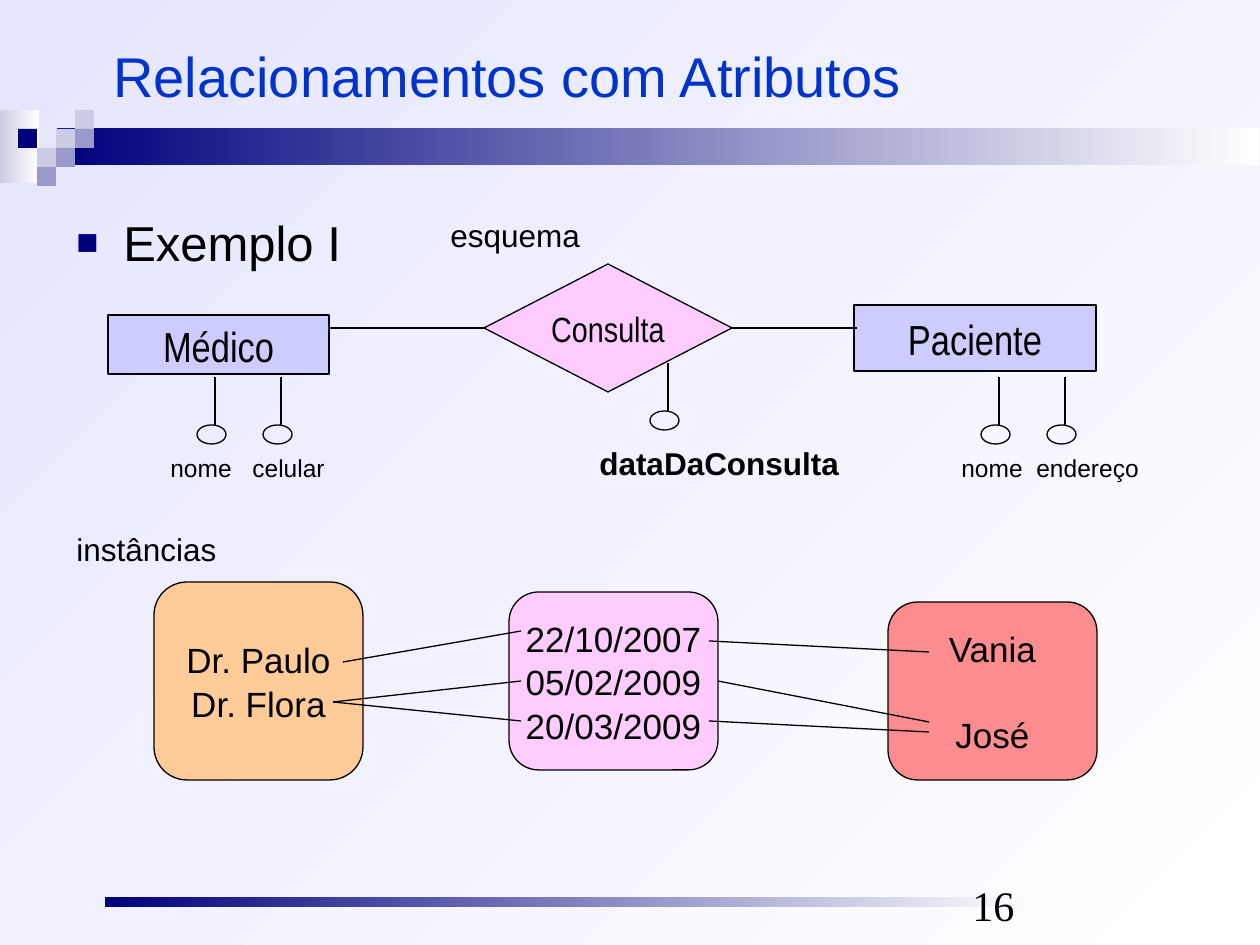
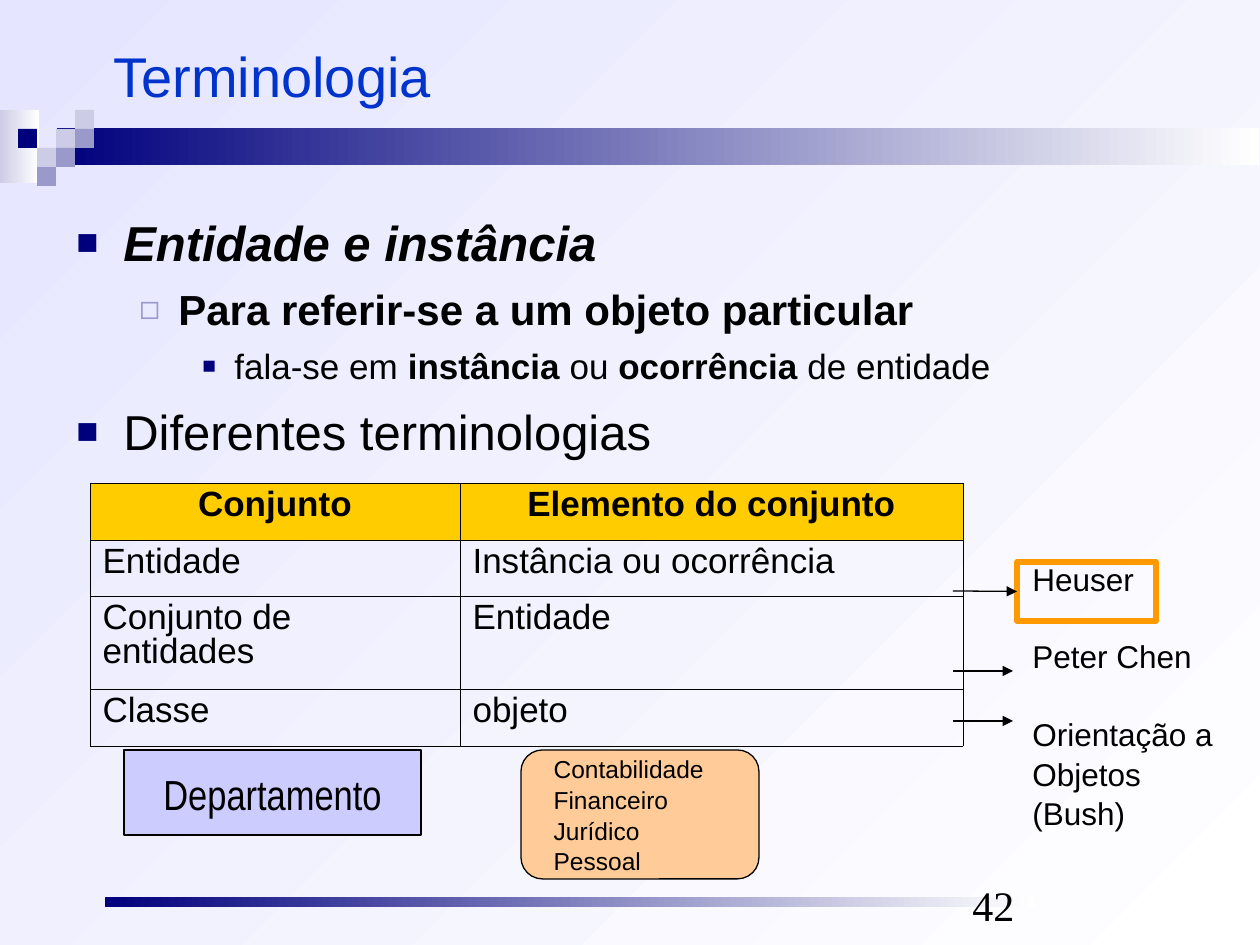
from dataclasses import dataclass

from lxml import etree
from pptx import Presentation, util as u
from pptx.dml.color import RGBColor
from pptx.enum import shapes, text
from pptx.oxml.ns import qn

PX = 914400 / 126
KIND = shapes.MSO_SHAPE
CENTER, LEFT = text.PP_ALIGN.CENTER, text.PP_ALIGN.LEFT
MIDDLE, TOP, BOTTOM = text.MSO_ANCHOR.MIDDLE, text.MSO_ANCHOR.TOP, text.MSO_ANCHOR.BOTTOM
SIDE_LEFT, SIDE_RIGHT = 1, 3


@dataclass(frozen=True)
class Theme:
    ink: str = "000000"
    title: str = "0033CC"
    navy: str = "00007D"
    mid: str = "9999CC"
    pale: str = "CCCCE6"
    white: str = "FFFFFF"
    sky: str = "E5E5FF"
    entity: str = "CCCCFF"
    relation: str = "FFCCFF"
    peach: str = "FFCC99"
    red: str = "FF2121"
    header: str = "FFCC00"
    highlight: str = "FF9900"
    sans: str = "Arial"
    narrow: str = "Arial Narrow"
    serif: str = "Times New Roman"
    title_size: int = 32
    big: int = 24
    medium: int = 20
    normal: int = 18
    small: int = 14
    leading: float = 1.04
    line: float = 0.75


T = Theme()

# Shared decoration: (column, row, colour) on a grid of small squares
SQUARE, SQUARES_AT = 19, (18, 110)
SQUARES = [(2, 1, T.pale), (3, 0, T.pale), (3, 1, T.mid), (1, 2, T.pale),
           (0, 1, T.navy), (2, 2, T.mid), (1, 3, T.mid)]
BANDS = [((0, 110, 39, 73), T.pale), ((57, 128, 1202, 37), T.navy),
         ((105, 897, 930, 10), T.navy)]

# Outline levels: size, left margin, hanging indent, space before, bullet, colour, percent
LEVELS = [(28, 47, 47, 7, "■", T.navy, 75),
          (24, 102, 39, 6, "◻", T.mid, 80),
          (20, 158, 32, 5, "■", T.navy, 65)]

# Relationship slide
ENTITIES = [("Médico", (108, 315, 221, 59)), ("Paciente", (854, 305, 242, 66))]
RELATION = ("Consulta", (484, 264, 248, 128))
LINK_Y = 328
# Attributes: stem x, stem top, label, label left, label top, size, bold
ATTRIBUTES = [(215, 377, "nome", 158, 446, T.small, False),
              (281, 377, "celular", 240, 446, T.small, False),
              (668, 363, "dataDaConsulta", 587, 436, T.normal, True),
              (999, 377, "nome", 949, 446, T.small, False),
              (1065, 377, "endereço", 1024, 446, T.small, False)]
CAPTIONS = [("esquema", (438, 208, 170, 50)), ("instâncias", (64, 522, 180, 50))]
DOCTORS = ["Dr. Paulo", "Dr. Flora"]
DATES = ["22/10/2007", "05/02/2009", "20/03/2009"]
PATIENTS = ["Vania", "José"]
INSTANCE_LINKS = [((343, 662), (521, 631)), ((333, 702), (521, 681)),
                  ((333, 702), (521, 721)), ((929, 652), (709, 641)),
                  ((929, 732), (709, 721))]
JOSE_TO_SECOND_DATE = (929, 722)

# Terminology slide
OUTLINE = [(0, [("Entidade e instância", "bi")]),
           (1, [("Para referir-se a um objeto particular", "b")]),
           (2, [("fala-se em ", ""), ("instância", "b"), (" ou ", ""),
                ("ocorrência", "b"), (" de entidade", "")]),
           (0, [("Diferentes terminologias", "")])]
TERMS = [("Conjunto", "Elemento do conjunto"),
         ("Entidade", "Instância ou ocorrência"),
         ("Conjunto de entidades", "Entidade"),
         ("Classe", "objeto")]
TERM_COLS, TERM_ROWS = (370, 503), (57, 56, 93, 57)
AUTHORS = ["Heuser", "Peter Chen", "Orientação a", "Objetos", "(Bush)"]
DEPARTMENTS = ["Contabilidade", "Financeiro", "Jurídico", "Pessoal"]
ARROW_X, ARROW_TIP, ARROW_YS = 953, 1013, (671, 721)


def px(*values):
    return [u.Emu(round(v * PX)) for v in values]


def rgb(hex_code):
    return RGBColor.from_string(hex_code)


def child(parent, tag, **attrs):
    return etree.SubElement(parent, qn(tag), {k: str(v) for k, v in attrs.items()})


def gradient(fill, start, end, angle=0):
    fill.gradient()
    fill.gradient_angle = angle
    for stop, position, color in zip(fill.gradient_stops, (0, 1), (start, end)):
        stop.position = position
        stop.color.rgb = rgb(color)


def write(p, runs, size=T.normal, font=T.sans, color=T.ink, style="", align=LEFT,
          before=0, leading=T.leading):
    """Fill one paragraph from a string or from (text, style) runs; style may hold b and i."""
    p.alignment, p.line_spacing, p.space_before = align, leading, u.Pt(before)
    for words, run_style in [(runs, style)] if isinstance(runs, str) else runs:
        r = p.add_run()
        r.text = words
        r.font.size, r.font.name, r.font.color.rgb = u.Pt(size), font, rgb(color)
        r.font.bold, r.font.italic = "b" in run_style, "i" in run_style


def paragraphs(tf, count):
    return [tf.paragraphs[0]] + [tf.add_paragraph() for _ in range(count - 1)]


def write_lines(tf, lines, anchor=TOP, gaps=None, indent=0, **fmt):
    """Write one paragraph a line; gaps maps a line number to its space before."""
    tf.word_wrap = fmt.get("align") != CENTER
    tf.vertical_anchor = anchor
    for i, (p, line) in enumerate(zip(paragraphs(tf, len(lines)), lines)):
        write(p, line, before=(gaps or {}).get(i, 0), **fmt)
        if indent:
            p._p.get_or_add_pPr().set("marL", str(px(indent)[0]))


def add_label(s, box, *lines, **fmt):
    write_lines(s.shapes.add_textbox(*px(*box)).text_frame, lines, **fmt)


def add_box(s, kind, box, fill=None, line=T.ink, width=T.line, lines=(), **fmt):
    sp = s.shapes.add_shape(kind, *px(*box))
    sp.shadow.inherit = False
    if fill:
        sp.fill.solid()
        sp.fill.fore_color.rgb = rgb(fill)
    else:
        sp.fill.background()
    if line:
        sp.line.color.rgb, sp.line.width = rgb(line), u.Pt(width)
    else:
        sp.line.fill.background()
    if lines:
        write_lines(sp.text_frame, lines, **{"anchor": MIDDLE, "align": CENTER, **fmt})
    return sp


def add_line(s, start, end, begin=None, finish=None, arrow=False):
    """Draw a line; begin and finish are optional (shape, side) joints."""
    cn = s.shapes.add_connector(shapes.MSO_CONNECTOR.STRAIGHT, *px(*start, *end))
    cn.line.color.rgb, cn.line.width = rgb(T.ink), u.Pt(T.line)
    if begin:
        cn.begin_connect(*begin)
    if finish:
        cn.end_connect(*finish)
    if arrow:
        child(cn.line._get_or_add_ln(), "a:tailEnd", type="triangle")
    child(cn._element.spPr, "a:effectLst")


def add_outline(s, items):
    tf = s.shapes.add_textbox(*px(64, 204, 1134, 635)).text_frame
    tf.word_wrap = True
    for p, (level, runs) in zip(paragraphs(tf, len(items)), items):
        size, left, hang, before, bullet, color, percent = LEVELS[level]
        write(p, runs, size=size, before=before)
        p.level = level
        ppr = p._p.get_or_add_pPr()
        margin, indent = px(left, -hang)
        ppr.set("marL", str(margin))
        ppr.set("indent", str(indent))
        child(child(ppr, "a:buClr"), "a:srgbClr", val=color)
        child(ppr, "a:buSzPct", val=percent * 1000)
        child(ppr, "a:buFont", typeface=T.sans)
        child(ppr, "a:buChar", char=bullet)


def add_borders(cell):
    tcpr = cell._tc.get_or_add_tcPr()
    for i, side in enumerate("LRTB"):
        ln = etree.Element(qn("a:ln" + side), w=str(u.Pt(0.06)))
        child(child(ln, "a:solidFill"), "a:srgbClr", val=T.ink)
        tcpr.insert(i, ln)


def add_terms_table(s):
    size = (sum(TERM_COLS), sum(TERM_ROWS))
    table = s.shapes.add_table(len(TERMS), len(TERM_COLS), *px(90, 483, *size)).table
    table.first_row = table.horz_banding = False
    for column, width in zip(table.columns, px(*TERM_COLS)):
        column.width = width
    for row, height in zip(table.rows, px(*TERM_ROWS)):
        row.height = height
    for i, terms in enumerate(TERMS):
        for j, term in enumerate(terms):
            cell = table.cell(i, j)
            head = i == 0
            if head:
                cell.fill.solid()
                cell.fill.fore_color.rgb = rgb(T.header)
            else:
                cell.fill.background()
            add_borders(cell)
            write(cell.text_frame.paragraphs[0], term, size=T.medium, before=5,
                  leading=0.87, style="b" if head else "", align=CENTER if head else LEFT)


def add_slide(prs, title, number):
    s = prs.slides.add_slide(prs.slide_layouts[6])
    gradient(s.background.fill, T.sky, T.white, 315)
    for box, color in BANDS:
        gradient(add_box(s, KIND.RECTANGLE, box, line=None).fill, color, T.white)
    left, top = SQUARES_AT
    for col, row, color in SQUARES:
        box = (left + col * SQUARE, top + row * SQUARE, SQUARE, SQUARE)
        add_box(s, KIND.RECTANGLE, box, color, line=None)
    add_label(s, (101, 16, 1134, 115), title, size=T.title_size, color=T.title,
              anchor=MIDDLE)
    add_label(s, (960, 873, 294, 63), str(number), size=T.big, font=T.serif,
              anchor=BOTTOM, leading=1.0)
    return s


def add_entity(s, name, box):
    add_box(s, KIND.RECTANGLE, box, T.entity, lines=[name], size=T.big, font=T.narrow)


def add_attribute(s, x, y, label, label_x, label_y, size, bold):
    add_line(s, (x, y), (x, y + 49))
    add_box(s, KIND.OVAL, (x - 18, y + 48, 29, 19))
    add_label(s, (label_x, label_y, 290 if bold else 150, 45), label, size=size,
              style="b" if bold else "")


def relationship_slide(prs):
    s = add_slide(prs, "Relacionamentos com Atributos", 16)
    add_outline(s, [(0, [("Exemplo I", "")])])
    for name, box in ENTITIES:
        add_entity(s, name, box)
    name, box = RELATION
    relation = add_box(s, KIND.FLOWCHART_DECISION, box, T.relation, lines=[name],
                       size=T.medium, font=T.narrow)
    add_line(s, (330, LINK_Y), (484, LINK_Y), finish=(relation, SIDE_LEFT))
    add_line(s, (732, LINK_Y), (857, LINK_Y), begin=(relation, SIDE_RIGHT))
    for attribute in ATTRIBUTES:
        add_attribute(s, *attribute)
    for caption, box in CAPTIONS:
        add_label(s, box, caption)

    add_box(s, KIND.ROUNDED_RECTANGLE, (154, 582, 209, 198), T.peach, lines=DOCTORS,
            size=T.medium)
    patients = add_box(s, KIND.ROUNDED_RECTANGLE, (888, 602, 209, 178), T.red,
                       lines=PATIENTS, size=T.medium, gaps={1: 24})
    child(patients._element.spPr.find(".//" + qn("a:srgbClr")), "a:alpha", val=50000)
    dates = add_box(s, KIND.ROUNDED_RECTANGLE, (509, 592, 209, 178), T.relation,
                    lines=DATES, size=T.medium)
    for start, end in INSTANCE_LINKS:
        add_line(s, start, end)
    add_line(s, JOSE_TO_SECOND_DATE, (718, 681), finish=(dates, SIDE_RIGHT))


def terminology_slide(prs):
    s = add_slide(prs, "Terminologia", 42)
    add_outline(s, OUTLINE)
    add_terms_table(s)
    add_label(s, (1020, 552, 230, 277), *AUTHORS, gaps={1: 22, 2: 22})
    frame = add_box(s, KIND.RECTANGLE, (1017, 562, 139, 59), line=T.highlight, width=3)
    add_line(s, (ARROW_X, 591), (ARROW_TIP, 591), finish=(frame, SIDE_LEFT), arrow=True)
    for y in ARROW_YS:
        add_line(s, (ARROW_X, y), (ARROW_TIP, y), arrow=True)
    add_entity(s, "Departamento", (124, 750, 297, 85))
    add_box(s, KIND.ROUNDED_RECTANGLE, (521, 750, 238, 129), T.peach, lines=DEPARTMENTS,
            size=T.small, align=LEFT, indent=14)


def main():
    prs = Presentation()
    prs.slide_width, prs.slide_height = px(1260, 945)
    relationship_slide(prs)
    terminology_slide(prs)
    prs.save("out.pptx")


if __name__ == "__main__":
    main()
